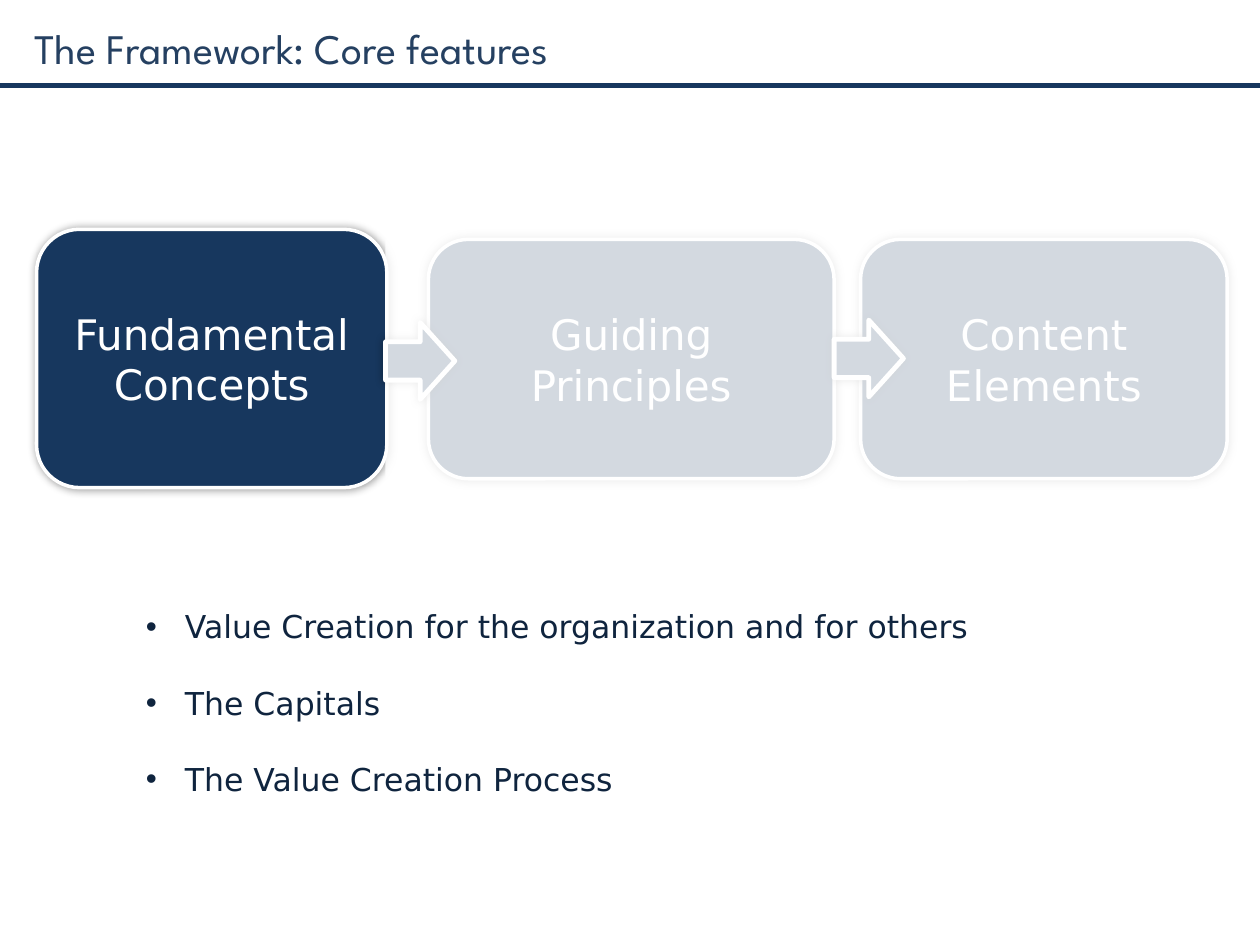
from lxml import etree
from pptx import Presentation
from pptx import util as u
from pptx.dml.color import RGBColor
from pptx.enum import shapes, text
from pptx.oxml import ns

NAVY, WHITE, INK, HEAD = "17375E", "FFFFFF", "0F243E", "254061"
BODY, TITLE = "DejaVu Sans", "League Spartan"
COLS, ROWS = 100, 75


def rgb(code):
    return RGBColor.from_string(code)


def sub(parent, tag, **attrs):
    return etree.SubElement(parent, ns.qn(tag), **attrs)


class Deck:
    """Holds the style and the current slide, on a grid of 100 columns by 75 rows."""

    def __init__(self):
        self.prs = Presentation()
        self.prs.slide_width, self.prs.slide_height = u.Inches(10), u.Inches(7.5)
        self.slide = self.prs.slides.add_slide(self.prs.slide_layouts[5])
        self.shapes = self.slide.shapes

    def grid(self, x, y, w, h):
        dx, dy = self.prs.slide_width / COLS, self.prs.slide_height / ROWS
        return [u.Emu(round(n)) for n in (x * dx, y * dy, w * dx, h * dy)]

    def style(self, para, size, color, face=BODY):
        para.font.size, para.font.name = u.Pt(size), face
        para.font.color.rgb = rgb(color)

    def title(self, words, *at):
        box = self.shapes.title
        box.left, box.top, box.width, box.height = self.grid(*at)
        frame = box.text_frame
        frame.text = words
        frame.auto_size = text.MSO_AUTO_SIZE.NONE
        frame.vertical_anchor = text.MSO_ANCHOR.TOP
        para = frame.paragraphs[0]
        para.alignment = text.PP_ALIGN.LEFT
        self.style(para, 24, HEAD, TITLE)

    def rule(self, row, width):
        x, y, w, _ = self.grid(0, row, COLS, 0)
        line = self.shapes.add_connector(shapes.MSO_CONNECTOR.STRAIGHT, x, y, x + w, y)
        line.line.color.rgb = rgb(NAVY)
        line.line.width = u.Pt(width)
        sub(line._element.spPr, "a:effectLst")

    def shape(self, kind, at, fill=NAVY):
        item = self.shapes.add_shape(kind, *self.grid(*at))
        item.shadow.inherit = False
        item.fill.solid()
        item.fill.fore_color.rgb = rgb(fill)
        return item

    def block(self, kind, at, width, words=""):
        item = self.shape(kind, at)
        item.line.color.rgb = rgb(WHITE)
        item.line.width = u.Pt(width)
        glow = item._element.spPr.find(ns.qn("a:effectLst"))
        shade = sub(glow, "a:outerShdw", blurRad=str(u.Pt(5)), dist="0", dir="0", rotWithShape="0")
        sub(sub(shade, "a:srgbClr", val="000000"), "a:alpha", val="40000")
        if words:
            frame = item.text_frame
            frame.text, frame.word_wrap = words, True
            frame.vertical_anchor = text.MSO_ANCHOR.MIDDLE
            para = frame.paragraphs[0]
            para.alignment = text.PP_ALIGN.CENTER
            self.style(para, 24, WHITE)

    def veil(self, at, share):
        item = self.shape(shapes.MSO_SHAPE.RECTANGLE, at, WHITE)
        item.line.fill.background()
        tint = item._element.spPr.find(ns.qn("a:solidFill"))[0]
        sub(tint, "a:alpha", val=str(share * 1000))

    def points(self, lines, at, gap):
        frame = self.shapes.add_textbox(*self.grid(*at)).text_frame
        frame.word_wrap = True
        frame.text = "\n".join(lines)
        for i, para in enumerate(frame.paragraphs):
            if i:
                para.space_before = u.Pt(gap)
            props = para._p.get_or_add_pPr()
            dent = u.Inches(0.31)
            props.set("marL", str(dent))
            props.set("indent", str(-dent))
            sub(props, "a:buFont", typeface="Arial")
            sub(props, "a:buChar", char="•")
            self.style(para, 18, INK)


def main():
    deck = Deck()
    deck.rule(6.8, 3)
    deck.title("The Framework: Core features", 1.7, 1.3, 53.8, 5)
    stages = [
        ("Content Elements", (68.3, 19, 29.1, 19)),
        ("Fundamental Concepts", (2.9, 18.2, 27.8, 20.5)),
        ("Guiding Principles", (34, 19, 32.2, 19)),
    ]
    for words, at in stages:
        deck.block(shapes.MSO_SHAPE.ROUNDED_RECTANGLE, at, 2, words)
    for x, y in ((66.2, 25.4), (30.6, 25.6)):
        deck.block(shapes.MSO_SHAPE.RIGHT_ARROW, (x, y, 5.5, 6.1), 2.75)
    deck.veil((30.6, 17.5, 67.6, 26), 81)
    points = [
        "Value Creation for the organization and for others",
        "The Capitals",
        "The Value Creation Process",
    ]
    deck.points(points, (10.6, 47.7, 70.9, 16.2), 22)
    deck.prs.save("out.pptx")


if __name__ == "__main__":
    main()
